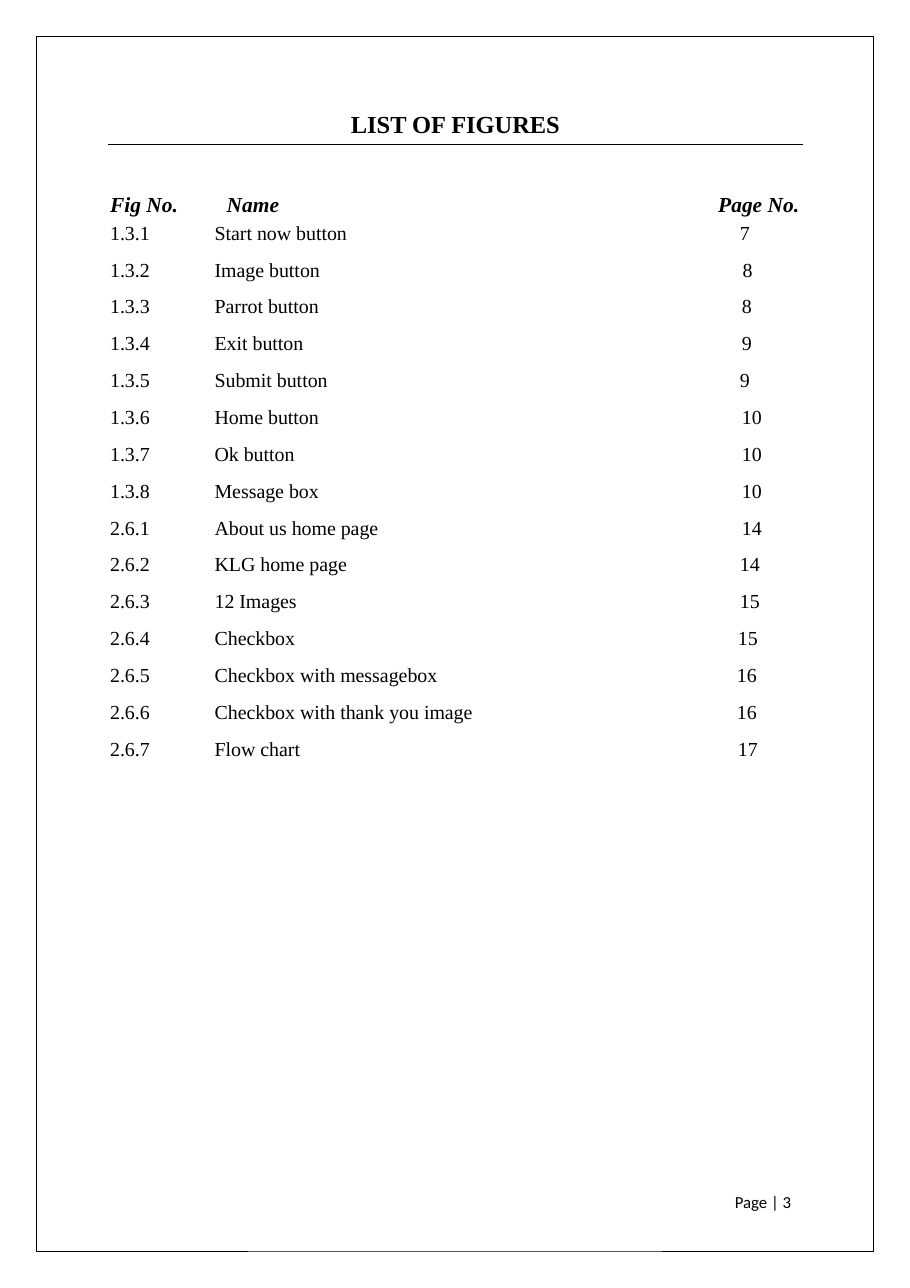
import lxml.etree
import pptx
import pptx.dml.color
import pptx.enum.shapes
import pptx.enum.text
import pptx.oxml.ns
import pptx.util

Pt = pptx.util.Pt
ALIGN = pptx.enum.text.PP_ALIGN
BLACK = pptx.dml.color.RGBColor(0, 0, 0)
SERIF = "Times New Roman"
PAGE_WIDTH, PAGE_HEIGHT = 594.72, 841.68
FRAME_INSET = 24.1
RULE_LEFT, RULE_WIDTH, RULE_TOP = 70.6, 454.1, 94.6
TABLE_LEFT, TABLE_TOP = 69.8, 126.7
COLUMN_WIDTHS = (59, 260.6, 135.2)
HEADER_HEIGHT, ROW_HEIGHT, LAST_HEIGHT = 15.3, 24.12, 19.4
HEADINGS = (("Fig No.", 2.2), ("Name", 19.4), ("Page No.", 80))
FIGURES = (
    ("1.3.1", "Start now button", "7", 34.6),
    ("1.3.2", "Image button", "8", 32.7),
    ("1.3.3", "Parrot button", "8", 33.3),
    ("1.3.4", "Exit button", "9", 33.3),
    ("1.3.5", "Submit button", "9", 34.6),
    ("1.3.6", "Home button", "10", 26.8),
    ("1.3.7", "Ok button", "10", 26.8),
    ("1.3.8", "Message box", "10", 26.8),
    ("2.6.1", "About us home page", "14", 26.8),
    ("2.6.2", "KLG home page", "14", 28.1),
    ("2.6.3", "12 Images", "15", 28.1),
    ("2.6.4", "Checkbox", "15", 29.4),
    ("2.6.5", "Checkbox with messagebox", "16", 30),
    ("2.6.6", "Checkbox with thank you image", "16", 30),
    ("2.6.7", "Flow chart", "17", 29.4),
)


def write(frame, text, size=13, font=SERIF, bold=False, italic=False,
          align=ALIGN.LEFT, spacing=None):
    """Write one formatted paragraph into a text frame."""
    para = frame.paragraphs[0]
    para.alignment = align
    if spacing:
        para.line_spacing = Pt(spacing)
    span = para.add_run()
    span.text = text
    span.font.name = font
    span.font.size = Pt(size)
    span.font.bold = bold
    span.font.italic = italic
    span.font.color.rgb = BLACK


def add_text(page, left, top, width, height, text, **style):
    """Add a text box without margins."""
    box = page.shapes.add_textbox(Pt(left), Pt(top), Pt(width), Pt(height))
    frame = box.text_frame
    frame.word_wrap = True
    frame.margin_left = frame.margin_right = 0
    frame.margin_top = frame.margin_bottom = 0
    write(frame, text, **style)


def add_rule(page, left, top, width):
    """Add a thin horizontal line."""
    rule = page.shapes.add_connector(
        pptx.enum.shapes.MSO_CONNECTOR.STRAIGHT,
        Pt(left), Pt(top), Pt(left + width), Pt(top))
    rule.line.color.rgb = BLACK
    rule.line.width = Pt(0.5)
    properties = rule._element.spPr
    lxml.etree.SubElement(properties, pptx.oxml.ns.qn("a:effectLst"))


def add_frame(page):
    """Add the thin border around the page."""
    frame = page.shapes.add_shape(
        pptx.enum.shapes.MSO_SHAPE.RECTANGLE, Pt(FRAME_INSET), Pt(FRAME_INSET),
        Pt(PAGE_WIDTH - 2 * FRAME_INSET), Pt(PAGE_HEIGHT - 2 * FRAME_INSET))
    frame.shadow.inherit = False
    frame.fill.background()
    frame.line.color.rgb = BLACK
    frame.line.width = Pt(0.5)


def fill_cell(cell, text, left=0, right=0, top=3.4, **style):
    """Fill a table cell with text and clear its background."""
    cell.fill.background()
    cell.margin_left, cell.margin_right = Pt(left), Pt(right)
    cell.margin_top, cell.margin_bottom = Pt(top), 0
    write(cell.text_frame, text, **style)


def add_figure_table(page):
    """Add the table of figure numbers, names and pages."""
    heights = [HEADER_HEIGHT] + [ROW_HEIGHT] * (len(FIGURES) - 1) + [LAST_HEIGHT]
    table = page.shapes.add_table(
        len(heights), len(COLUMN_WIDTHS), Pt(TABLE_LEFT), Pt(TABLE_TOP),
        Pt(sum(COLUMN_WIDTHS)), Pt(sum(heights))).table
    table.first_row = table.horz_banding = False
    for column, width in zip(table.columns, COLUMN_WIDTHS):
        column.width = Pt(width)
    for row, height in zip(table.rows, heights):
        row.height = Pt(height)
    for column, (heading, left) in enumerate(HEADINGS):
        fill_cell(table.cell(0, column), heading, left=left, top=0, size=14,
                  bold=True, italic=True, spacing=HEADER_HEIGHT)
    for row, (number, name, page_number, right) in enumerate(FIGURES, 1):
        fill_cell(table.cell(row, 0), number, left=2.2)
        fill_cell(table.cell(row, 1), name, left=11.5)
        fill_cell(table.cell(row, 2), page_number, right=right, align=ALIGN.RIGHT)


def main():
    """Build the list of figures and save it."""
    deck = pptx.Presentation()
    deck.slide_width, deck.slide_height = Pt(PAGE_WIDTH), Pt(PAGE_HEIGHT)
    page = deck.slides.add_slide(deck.slide_layouts[6])
    add_text(page, RULE_LEFT, 71, RULE_WIDTH, 20, "LIST OF FIGURES",
             size=16, bold=True, align=ALIGN.CENTER)
    add_rule(page, RULE_LEFT, RULE_TOP, RULE_WIDTH)
    add_figure_table(page)
    add_frame(page)
    add_text(page, 480.2, 780.5, 46.8, 13, "Page | 3",
             size=11, font="Calibri", spacing=11.5)
    deck.save("out.pptx")


if __name__ == "__main__":
    main()
